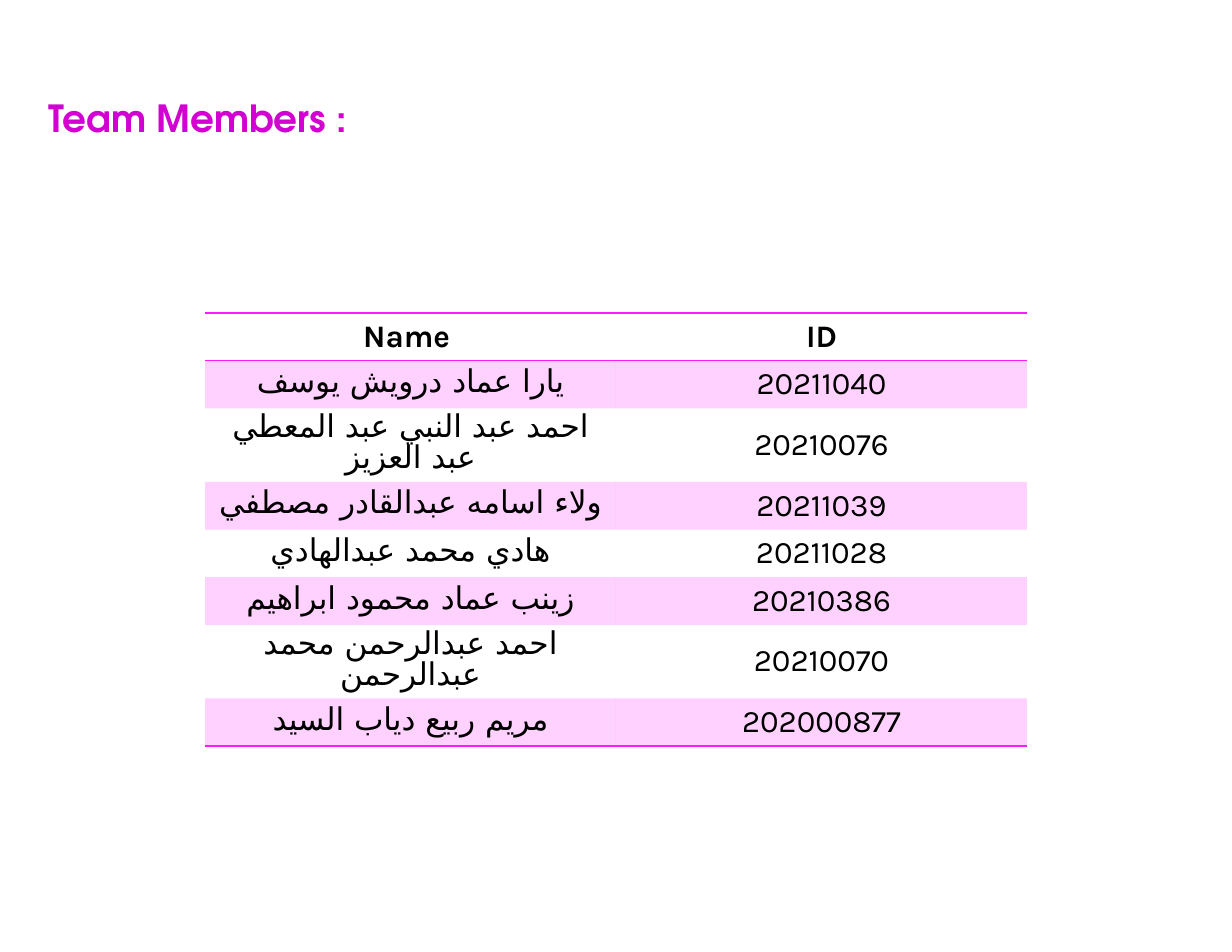
from dataclasses import dataclass

from lxml import etree
from pptx import Presentation
from pptx import util as u
from pptx.dml.color import RGBColor
from pptx.enum import text
from pptx.oxml.ns import qn

PX = u.Inches(1) // 112
NO_STYLE = "{2D5ABB26-0587-4C30-8999-92F81FD0307C}"
HEADERS = ("Name ", "ID")
MEMBERS = (
    ("يارا عماد درويش يوسف", "20211040"),
    ("احمد عبد النبي عبد المعطي عبد العزيز", "20210076"),
    ("ولاء اسامه عبدالقادر مصطفي", "20211039"),
    ("هادي محمد عبدالهادي", "20211028"),
    ("زينب عماد محمود ابراهيم", "20210386"),
    ("احمد عبدالرحمن محمد عبدالرحمن", "20210070"),
    ("مريم ربيع دياب السيد", "202000877"),
)


@dataclass(frozen=True)
class Theme:
    """Colours, fonts and type sizes of the slide."""
    title: str = "D200D0"
    ink: str = "000000"
    accent: str = "FF19FD"
    band_alpha: int = 20
    title_font: str = "TeX Gyre Adventor"
    body_font: str = "Karla"
    arabic_font: str = "DejaVu Sans"
    title_size: float = 24
    body_size: float = 20.1
    name_leading: float = 20
    rule: float = 1


THEME = Theme()


def add_run(p, words, font, size, color, bold):
    """Append one formatted run to a paragraph."""
    r = p.add_run()
    r.text = words
    r.font.size = u.Pt(size)
    r.font.bold = bold
    r.font.color.rgb = RGBColor.from_string(color)
    r.font.name = font
    etree.SubElement(r.font._element, qn("a:cs"), typeface=THEME.arabic_font)


def add_rule(cell, tag, position):
    """Draw an accent border on one side of a cell."""
    ln = etree.Element(qn(tag), w=str(u.Pt(THEME.rule)))
    fill = etree.SubElement(ln, qn("a:solidFill"))
    etree.SubElement(fill, qn("a:srgbClr"), val=THEME.accent)
    cell._tc.get_or_add_tcPr().insert(position, ln)


def fill_cell(cell, banded):
    """Give a cell the translucent band or no fill."""
    if not banded:
        cell.fill.background()
        return
    cell.fill.solid()
    cell.fill.fore_color.rgb = RGBColor.from_string(THEME.accent)
    color = cell._tc.tcPr.find(".//" + qn("a:srgbClr"))
    etree.SubElement(color, qn("a:alpha"), val=str(THEME.band_alpha * 1000))


def place_title(s, words, x, y, w, h):
    """Move and format the title placeholder."""
    sp = s.shapes.title
    sp.left, sp.top, sp.width, sp.height = (v * PX for v in (x, y, w, h))
    tf = sp.text_frame
    tf.word_wrap = True
    tf.auto_size = text.MSO_AUTO_SIZE.NONE
    tf.vertical_anchor = text.MSO_ANCHOR.TOP
    p = tf.paragraphs[0]
    p.alignment = text.PP_ALIGN.LEFT
    p.line_spacing = 0.9
    add_run(p, words, THEME.title_font, THEME.title_size, THEME.title, True)


def place_members(s, x, y, w, row_h):
    """Build the table of members with ruled header and banded rows."""
    rows = (HEADERS, *MEMBERS)
    last = len(rows) - 1
    frame = s.shapes.add_table(len(rows), len(HEADERS), x * PX, y * PX,
                               w * PX, row_h * len(rows) * PX)
    table = frame.table
    table.first_row = table.horz_banding = False
    table._tbl.tblPr.find(qn("a:tableStyleId")).text = NO_STYLE
    for i, row in enumerate(rows):
        table.rows[i].height = row_h * PX
        for j, words in enumerate(row):
            cell = table.cell(i, j)
            cell.vertical_anchor = text.MSO_ANCHOR.MIDDLE
            fill_cell(cell, i % 2 == 1)
            if i in (0, last):
                add_rule(cell, "a:lnB", 0)
            if i == 0:
                add_rule(cell, "a:lnT", 0)
            p = cell.text_frame.paragraphs[0]
            p.alignment = text.PP_ALIGN.CENTER
            if i and j == 0:
                p.line_spacing = u.Pt(THEME.name_leading)
            add_run(p, words, THEME.body_font, THEME.body_size, THEME.ink, i == 0)


def main():
    """Create the team slide and save it."""
    prs = Presentation()
    prs.slide_width, prs.slide_height = 1232 * PX, 952 * PX
    s = prs.slides.add_slide(prs.slide_layouts[5])
    place_title(s, "Team Members :", 37, 95, 337, 94)
    place_members(s, 205, 313, 822, 46)
    prs.save("out.pptx")


if __name__ == "__main__":
    main()
